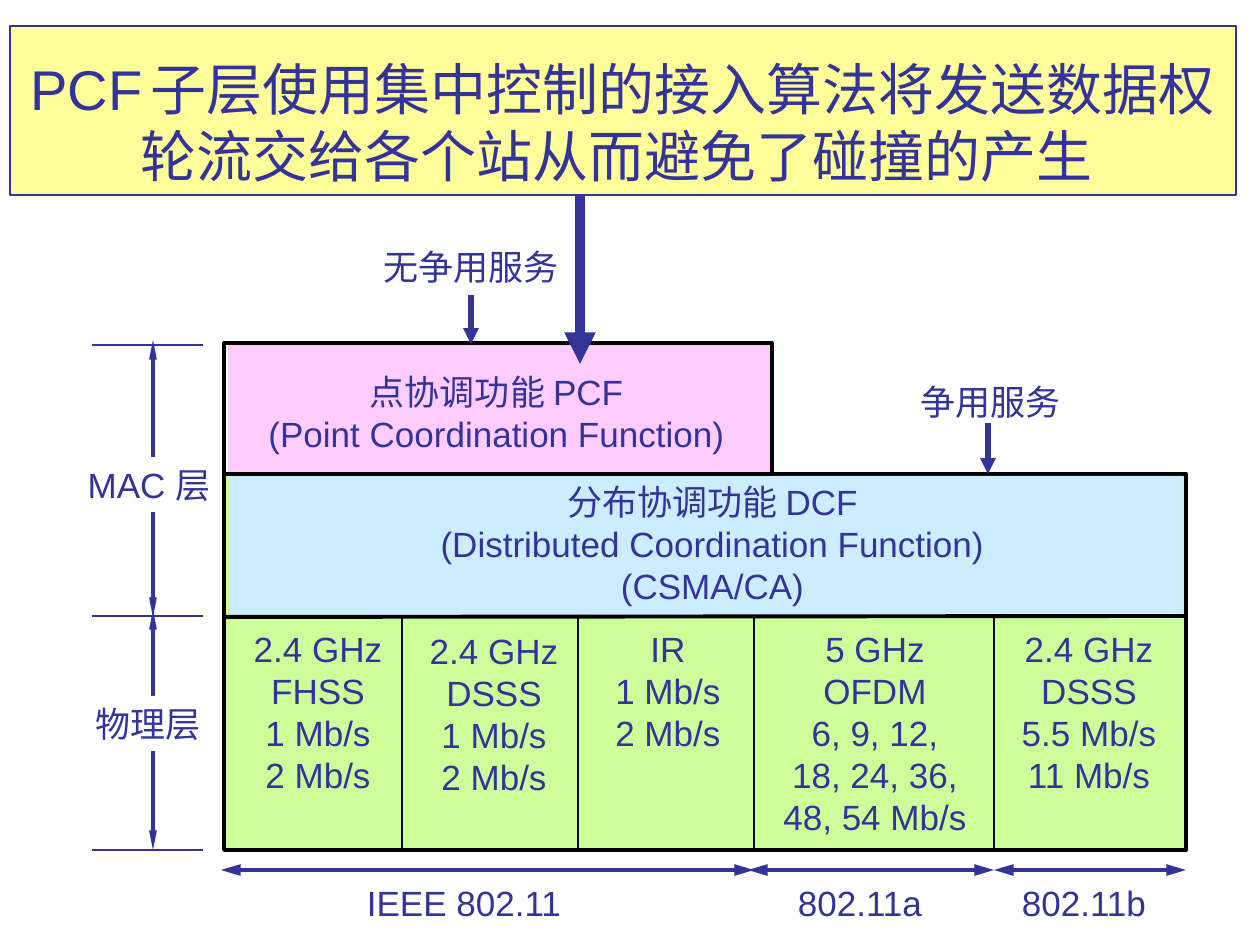
"""Build the slide on the PCF and DCF sublayers of the 802.11 MAC layer."""
from dataclasses import dataclass

from lxml import etree
from pptx import Presentation
from pptx import util as u
from pptx.dml.color import RGBColor
from pptx.enum import shapes, text
from pptx.oxml.ns import qn

PX = 914400 / 126


@dataclass(frozen=True)
class Theme:
    ink: str = "333399"
    edge: str = "000000"
    white: str = "FFFFFF"
    title_fill: str = "FFFF99"
    pcf: str = "FFCCFF"
    dcf: str = "CCECFF"
    physical: str = "CCFF99"
    font: str = "Arial"
    title_size: int = 32
    gap_size: int = 16
    body_size: int = 20


T = Theme()

TITLE_BOX = (10, 26, 1226, 169)
TITLE_RUNS = [("PCF", T.title_size), (" ", T.gap_size),
              ("子层使用集中控制的接入算法将发送数据权\v轮流交给各个站从而避免了碰撞的产生 ", T.title_size)]

LAYERS = [
    ((224, 474, 962, 376), T.physical, T.edge),
    ((229, 476, 954, 139), T.dcf, None),
    ((228, 343, 544, 129), T.pcf, None),
    ((224, 343, 548, 131), None, T.edge),
]
LAYER_TEXTS = [
    ((256, 364, 481, 97), ["点协调功能 PCF", "(Point Coordination Function)"]),
    ((428, 474, 569, 139), ["分布协调功能 DCF", "(Distributed Coordination Function)", "(CSMA/CA)"]),
]
SERVICES = [
    ((362, 239, 218, 55), "无争用服务", (471, 295, 344)),
    ((902, 374, 177, 55), "争用服务", (988, 423, 474)),
]
SIDE_LABELS = [
    ((71, 457, 156, 55), "MAC 层", (153, 340, 617)),
    ((83, 696, 130, 55), "物理层", (153, 610, 850)),
]
LAYER_EDGES = [345, 616, 850]
PHY_TOP, PHY_BOTTOM = 617, 850
DIVIDERS = [402, 578, 754, 994]
PHY_COLUMNS = [
    ((238, 621, 160, 181), ["2.4 GHz", "FHSS", "1 Mb/s", "2 Mb/s"]),
    ((414, 623, 160, 181), ["2.4 GHz", "DSSS", "1 Mb/s", "2 Mb/s"]),
    ((598, 621, 140, 139), ["IR", "1 Mb/s", "2 Mb/s"]),
    ((765, 621, 220, 223), ["5 GHz", "OFDM", "6, 9, 12,", "18, 24, 36,", "48, 54 Mb/s"]),
    ((1004, 621, 170, 181), ["2.4 GHz", "DSSS", "5.5 Mb/s", "11 Mb/s"]),
]
STANDARDS_Y = 870
STANDARDS = [
    ((353, 875, 222, 55), "IEEE 802.11", (221, 754)),
    ((780, 875, 160, 55), "802.11a", (748, 994)),
    ((1004, 875, 160, 55), "802.11b", (994, 1186)),
]
TITLE_ARROW = (580, 195, 580, 364)


def emu(values):
    return [u.Emu(round(v * PX)) for v in values]


def rgb(value):
    return RGBColor.from_string(value)


def paint(sp, fill, line=None, width=2.25):
    if fill:
        sp.fill.solid()
        sp.fill.fore_color.rgb = rgb(fill)
    else:
        sp.fill.background()
    if line:
        sp.line.color.rgb = rgb(line)
        sp.line.width = u.Pt(width)
    else:
        sp.line.fill.background()


def add_block(s, box, fill, line):
    sp = s.shapes.add_shape(shapes.MSO_SHAPE.RECTANGLE, *emu(box))
    sp.shadow.inherit = False
    paint(sp, fill, line)


def add_label(s, box, lines, fill=None):
    sp = s.shapes.add_textbox(*emu(box))
    paint(sp, fill)
    tf = sp.text_frame
    tf.word_wrap = False
    tf.auto_size = text.MSO_AUTO_SIZE.SHAPE_TO_FIT_TEXT
    tf.text = "\n".join(lines)
    for p in tf.paragraphs:
        p.alignment = text.PP_ALIGN.CENTER
        p.font.name, p.font.size = T.font, u.Pt(T.body_size)
        p.font.color.rgb = rgb(T.ink)


def add_line(s, ends, color, width, heads=(), head_size=("med", "med")):
    c = s.shapes.add_connector(shapes.MSO_CONNECTOR.STRAIGHT, *emu(ends))
    c.line.color.rgb = rgb(color)
    c.line.width = u.Pt(width)
    ln = c._element.spPr.find(qn("a:ln"))
    for head in heads:
        etree.SubElement(ln, qn(f"a:{head}"), type="triangle", w=head_size[0], len=head_size[1])
    etree.SubElement(c._element.spPr, qn("a:effectLst"))


def add_title(s):
    sp = s.shapes.title
    sp.left, sp.top, sp.width, sp.height = emu(TITLE_BOX)
    paint(sp, T.title_fill, T.ink, 0.75)
    tf = sp.text_frame
    tf.auto_size = text.MSO_AUTO_SIZE.NONE
    tf.word_wrap = True
    tf.vertical_anchor = text.MSO_ANCHOR.BOTTOM
    p = tf.paragraphs[0]
    p.alignment = text.PP_ALIGN.CENTER
    p.font.name = T.font
    p.font.color.rgb = rgb(T.ink)
    for words, size in TITLE_RUNS:
        for i, part in enumerate(words.split("\v")):
            if i:
                p.add_line_break()
            r = p.add_run()
            r.text = part
            r.font.size = u.Pt(size)


def main():
    prs = Presentation()
    prs.slide_width, prs.slide_height = u.Inches(10), u.Inches(7.5)
    s = prs.slides.add_slide(prs.slide_layouts[5])
    both = ("headEnd", "tailEnd")
    add_title(s)
    for _, _, (x, top, bottom) in SIDE_LABELS:
        add_line(s, (x, top, x, bottom), T.ink, 2.25, both, ("sm", "lg"))
    for box, label, _ in SIDE_LABELS:
        add_label(s, box, [label], T.white)
    for box, fill, line in LAYERS:
        add_block(s, box, fill, line)
    for y in LAYER_EDGES:
        add_line(s, (92, y, 203, y), T.ink, 1.5)
    for box, label, (x, top, bottom) in SERVICES:
        add_label(s, box, [label])
        add_line(s, (x, top, x, bottom), T.ink, 3, ["tailEnd"])
    add_line(s, (224, PHY_TOP, 1186, PHY_TOP - 1), T.edge, 2.25)
    for x in DIVIDERS:
        add_line(s, (x, PHY_TOP, x, PHY_BOTTOM), T.edge, 0.75)
    for box, lines in LAYER_TEXTS + PHY_COLUMNS:
        add_label(s, box, lines)
    for box, label, _ in STANDARDS:
        add_label(s, box, [label], T.white)
    for _, _, (left, right) in STANDARDS:
        add_line(s, (left, STANDARDS_Y, right, STANDARDS_Y), T.ink, 2.25, both, ("med", "lg"))
    add_line(s, TITLE_ARROW, T.ink, 6, ["tailEnd"])
    prs.save("out.pptx")


if __name__ == "__main__":
    main()
